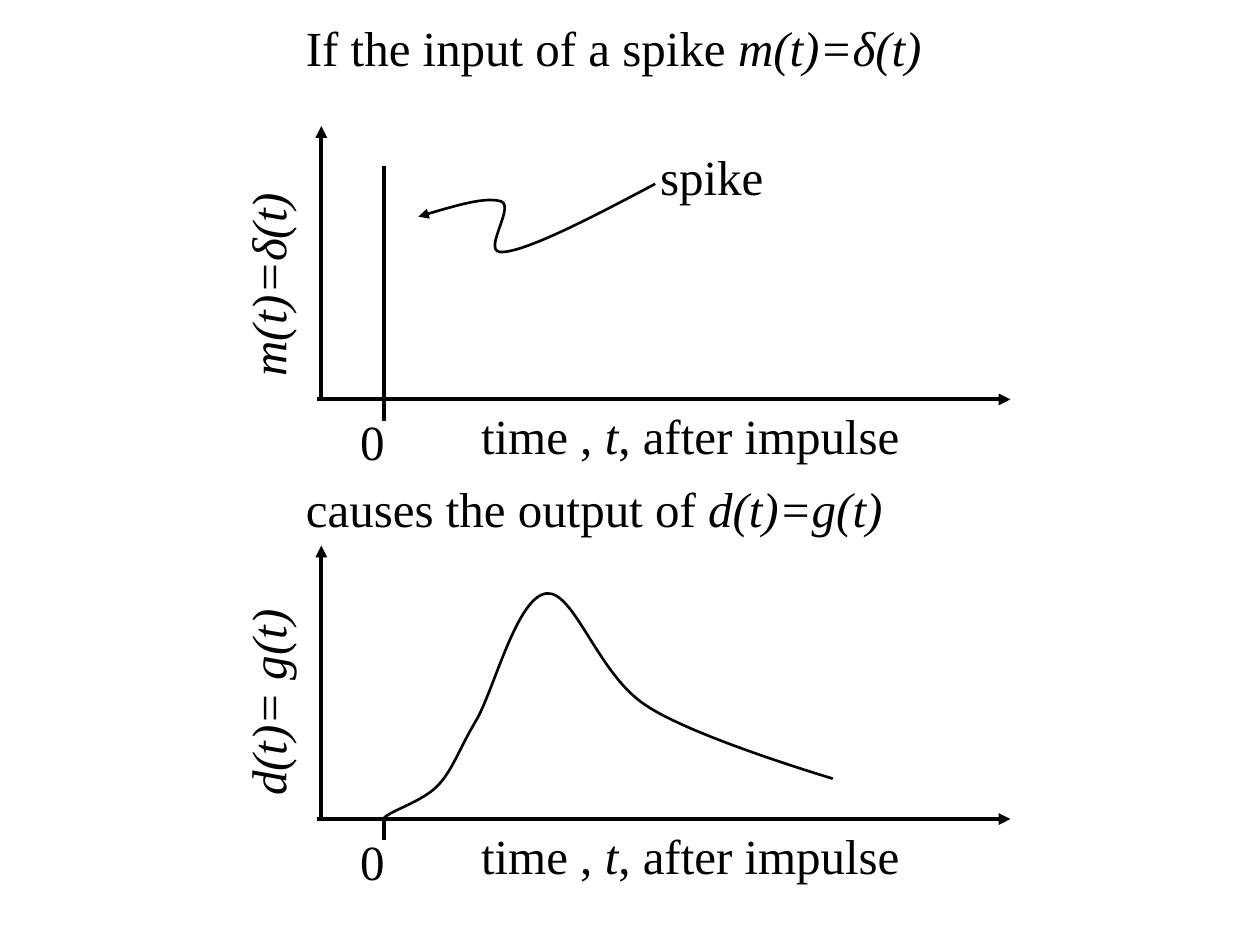
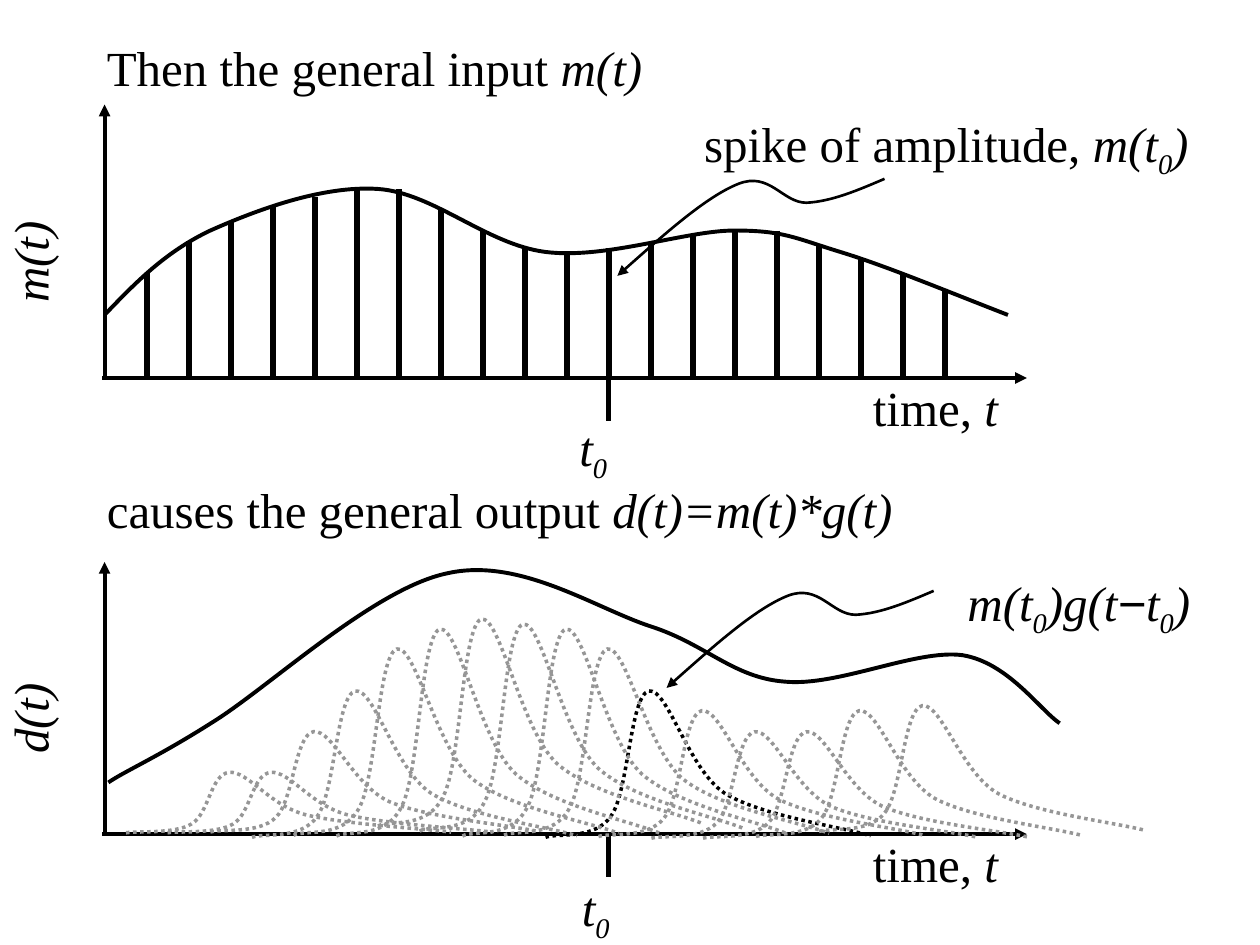
from lxml.etree import SubElement
from pptx import Presentation
from pptx.dml.color import RGBColor
from pptx.enum.dml import MSO_LINE
from pptx.enum.shapes import MSO_CONNECTOR
from pptx.oxml.ns import qn
from pptx.util import Inches, Pt

BLACK, GREY = "000000", "969696"
FONT, SYMBOL_FONT = "Times New Roman", "Arial"
AXIS, THIN, SPIKE, DOTTED = 2.25, 1.5, 3, 2
HANGING = {"line_spacing": 0.9}


def add_text(page, frame, spans, rotation=0, hanging=False):
    """Spans are (text, style): i italic, s italic subscript, m italic symbol."""
    box = page.shapes.add_textbox(*map(Inches, frame))
    box.rotation = rotation
    box.text_frame.word_wrap = True
    para = box.text_frame.paragraphs[0]
    if hanging:
        for name, value in HANGING.items():
            setattr(para, name, value)
        properties = para._p.get_or_add_pPr()
        properties.set("marL", str(Inches(0.38)))
        properties.set("indent", str(-Inches(0.38)))
    for text, style in spans:
        span = para.add_run()
        span.text = text
        values = {"size": Pt(28), "italic": style != "",
                  "name": SYMBOL_FONT if style == "m" else FONT}
        for name, value in values.items():
            setattr(span.font, name, value)
        span.font.color.rgb = RGBColor.from_string(BLACK)
        if style == "s":
            span._r.get_or_add_rPr().set("baseline", "-25000")


def add_stroke(page, points, width, arrow=False, color=BLACK, dash=None):
    """Two points give a straight line, more give a chain of Bezier curves."""
    start, *rest = [(Inches(x), Inches(y)) for x, y in points]
    if len(rest) == 1:
        stroke = page.shapes.add_connector(MSO_CONNECTOR.STRAIGHT, *start, *rest[0])
    else:
        builder = page.shapes.build_freeform(*start)
        builder.add_line_segments(rest, close=False)
        stroke = builder.convert_to_shape()
        stroke.fill.background()
        # Turn each three line segments into one cubic curve
        segments = iter(list(stroke._element.spPr.iter(qn("a:lnTo"))))
        for curve, second, third in zip(segments, segments, segments):
            curve.tag = qn("a:cubicBezTo")
            for segment in (second, third):
                curve.append(segment[0])
                segment.getparent().remove(segment)
    stroke.line.color.rgb = RGBColor.from_string(color)
    stroke.line.width = Pt(width)
    if dash:
        stroke.line.dash_style = dash
    properties = stroke._element.spPr
    if arrow:
        SubElement(properties.find(qn("a:ln")), qn("a:headEnd"), type="triangle")
    SubElement(properties, qn("a:effectLst"))


deck = Presentation()
deck.slide_width, deck.slide_height = Inches(10), Inches(7.5)
impulse_page, general_page = [deck.slides.add_slide(deck.slide_layouts[6])
                              for _ in range(2)]

# Impulse slide: two plots with the same axes, tick and time label
impulse_plots = [
    (3.17, 1.32, (1.12, 1.8, 2, 0.57), "m(t)=δ(t)"),
    (6.5, 6.5, (1.16, 5.17, 1.92, 0.57), "d(t)= g(t)"),
]
for base, tick_top, label_frame, label in impulse_plots:
    add_stroke(impulse_page, [(2.55, base - 2.17), (2.55, base)], AXIS, arrow=True)
    add_stroke(impulse_page, [(8.02, base), (2.52, base)], AXIS, arrow=True)
    add_stroke(impulse_page, [(3.05, tick_top), (3.05, base + 0.17)], AXIS)
    add_text(impulse_page, (3.72, base, 4, 0.57),
             [("time , ", ""), ("t", "i"), (", after impulse", "")])
    add_text(impulse_page, label_frame, [(label, "i")], rotation=270)
    add_text(impulse_page, (2.76, base + 0.05, 0.67, 0.57), [("0", "")])

# Spike pointer and impulse response
add_stroke(impulse_page, [
    (3.32, 1.72), (3.59, 1.64), (3.86, 1.56), (3.98, 1.6), (4.09, 1.65),
    (3.8, 2.03), (4, 2), (4.21, 1.98), (4.71, 1.72), (5.2, 1.46)], THIN, arrow=True)
add_text(impulse_page, (5.14, 1.11, 1.17, 0.57), [("spike", "")])
add_stroke(impulse_page, [
    (3.05, 6.49), (3.11, 6.43), (3.36, 6.36), (3.48, 6.23), (3.6, 6.1),
    (3.64, 5.95), (3.79, 5.7), (3.93, 5.44), (4.11, 4.73), (4.34, 4.71),
    (4.56, 4.69), (4.75, 5.36), (5.13, 5.6), (5.5, 5.85), (6.61, 6.18),
    (6.61, 6.18)], THIN)

# General slide: axes and labels of both plots
general_plots = [
    (0.83, 3, (-0.5, 1.33, 1.67, 0.67), "m(t)", (4.5, 3.27, 1.67, 0.67)),
    (4.46, 6.62, (-0.58, 4.83, 1.83, 0.67), "d(t)", (4.52, 6.92, 1.67, 0.67)),
]
for top, base, label_frame, label, origin_frame in general_plots:
    add_stroke(general_page, [(0.83, top), (0.83, base + 0.01)], AXIS, arrow=True)
    add_stroke(general_page, [(8.15, base), (0.81, base)], AXIS, arrow=True)
    add_stroke(general_page, [(4.83, base), (4.83, base + 0.34)], SPIKE)
    add_text(general_page, label_frame, [(label, "i")], rotation=270, hanging=True)
    add_text(general_page, (6.83, base, 1.67, 0.67),
             [("time, ", ""), ("t", "i")], hanging=True)
    add_text(general_page, origin_frame, [("t", "i"), ("0", "s")], hanging=True)

# Input curve, cut into spikes a third of an inch apart
add_stroke(general_page, [
    (0.83, 2.5), (1.07, 2.25), (1.31, 2), (1.67, 1.83), (2.03, 1.67),
    (2.56, 1.47), (3, 1.5), (3.44, 1.53), (3.86, 1.94), (4.33, 2),
    (4.81, 2.06), (5.44, 1.83), (5.83, 1.83), (6.22, 1.83), (6.31, 1.89),
    (6.67, 2), (7.03, 2.11), (7.51, 2.31), (8, 2.5)], AXIS)
spike_tops = [2.17, 1.91, 1.75, 1.63, 1.56, 1.5, 1.5, 1.67, 1.83, 1.96,
              2, 1.97, 1.93, 1.86, 1.83, 1.83, 1.94, 2.05, 2.17, 2.29]
for index, top in enumerate(spike_tops):
    x = (index + 3.5) / 3
    add_stroke(general_page, [(x, top), (x, 3)], SPIKE)

# Output curve
add_stroke(general_page, [
    (0.86, 6.21), (0.99, 6.12), (1.25, 6.01), (1.69, 5.73), (2.14, 5.45),
    (2.97, 4.67), (3.55, 4.55), (4.12, 4.42), (4.71, 4.82), (5.16, 4.97),
    (5.6, 5.11), (5.82, 5.38), (6.23, 5.41), (6.65, 5.45), (7.27, 5.15),
    (7.64, 5.2), (8, 5.26), (8.25, 5.63), (8.41, 5.74)], AXIS)

# Scaled responses: one shape, x in inches and y as a share of the height
response = [
    (0, 0.98), (0.09, 0.95), (0.39, 1), (0.52, 0.84), (0.66, 0.68),
    (0.67, 0.05), (0.82, 0.02), (0.97, 0), (1.13, 0.53), (1.42, 0.69),
    (1.71, 0.84), (2.34, 0.91), (2.58, 0.97)]
pulses = [  # left, top, height
    (4, 5.12, 1.54), (4.33, 5.46, 1.21), (4.75, 5.62, 1.04), (5.17, 5.79, 0.88),
    (5.58, 5.79, 0.88), (6, 5.62, 1.04), (6.5, 5.58, 1.04), (3.67, 4.96, 1.71),
    (3.33, 4.92, 1.71), (3, 4.88, 1.71), (2.67, 4.96, 1.71), (2.33, 5.12, 1.54),
    (2, 5.46, 1.21), (1.67, 5.79, 0.83), (1.33, 6.12, 0.5), (1, 6.12, 0.5)]
for left, top, height in pulses:
    add_stroke(general_page, [(left + x, top + y * height) for x, y in response],
               DOTTED, color=BLACK if left == 4.33 else GREY, dash=MSO_LINE.ROUND_DOT)

# Pointers to the spike and to its response
pointer = [(0, 0.83), (0.36, 0.51), (0.71, 0.2), (0.96, 0.1), (1.21, 0),
           (1.31, 0.25), (1.5, 0.25), (1.7, 0.24), (1.91, 0.15), (2.12, 0.06)]
for left, top in [(4.9, 1.36), (5.29, 4.63)]:
    add_stroke(general_page, [(left + x, top + y) for x, y in pointer], THIN, arrow=True)
add_text(general_page, (5.49, 0.86, 4.18, 0.83),
         [("spike of amplitude, ", ""), ("m(t", "i"), ("0", "s"), (")", "i")],
         hanging=True)
add_text(general_page, (7.58, 4.5, 2.33, 0.67),
         [("m(t", "i"), ("0", "s"), (")g(t", "i"), ("−", "m"), ("t", "i"),
          ("0", "s"), (")", "i")], hanging=True)

# Headings above the plots
headings = [
    (impulse_page, 2.33, 0.09, "If the input of a spike ", "m(t)=δ(t)"),
    (impulse_page, 2.33, 3.75, "causes the output of ", "d(t)=g(t)"),
    (general_page, 0.75, 0.25, "Then the general input ", "m(t)"),
    (general_page, 0.75, 3.76, "causes the general output ", "d(t)=m(t)*g(t)"),
]
for page, left, top, words, formula in headings:
    add_text(page, (left, top, 6.5, 0.57), [(words, ""), (formula, "i")])

deck.save("out.pptx")
